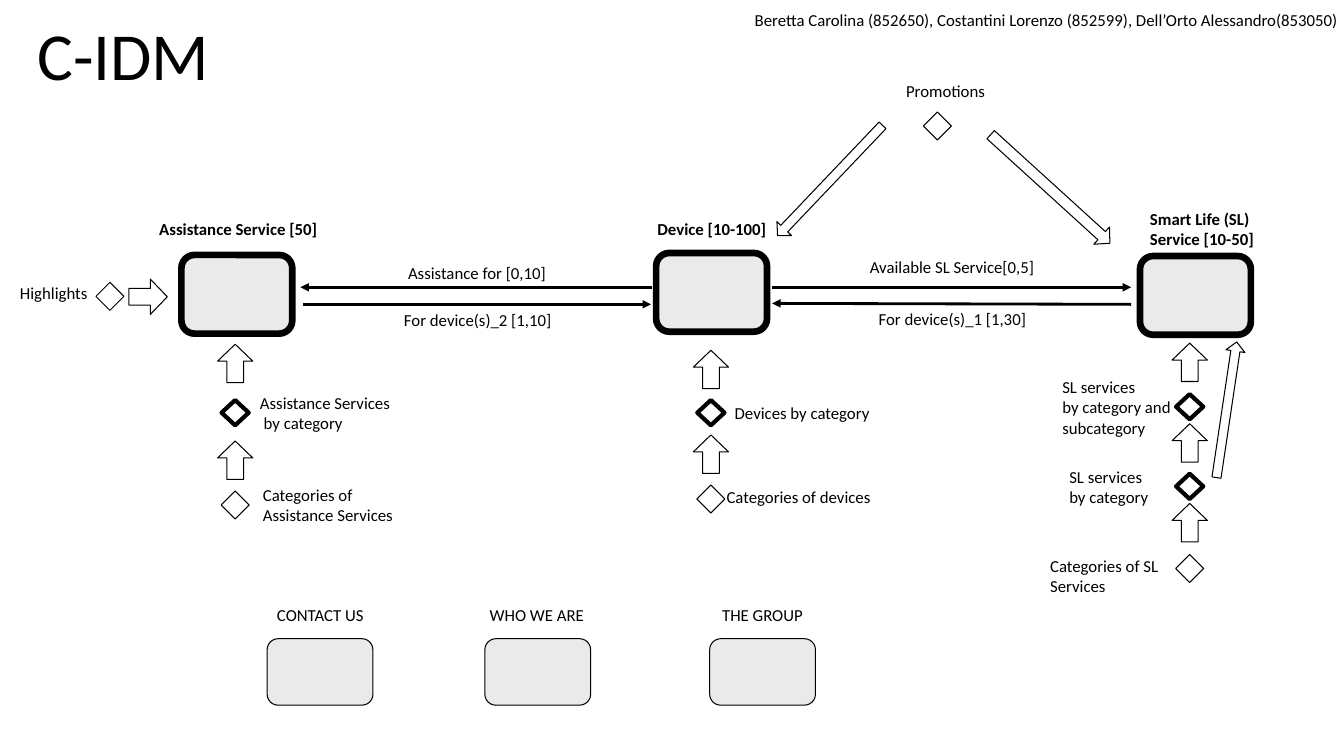
"""Build the C-IDM diagram slide."""
import dataclasses

import lxml.etree
import pptx
import pptx.dml.color
import pptx.enum.shapes
import pptx.enum.text
import pptx.oxml.ns
import pptx.util

Pt = pptx.util.Pt
KIND = pptx.enum.shapes.MSO_SHAPE


@dataclasses.dataclass(frozen=True)
class Theme:
    """Hold colours, type sizes and line widths."""
    font: str = "Calibri"
    ink: str = "000000"
    grey: str = "EAEAEA"
    white: str = "FFFFFF"
    body: float = 12
    title: float = 48
    thin: float = 0.75
    link: float = 2
    bold: float = 3
    heavy: float = 4.75


THEME = Theme()


def color(code):
    """Turn a hex code into a colour."""
    return pptx.dml.color.RGBColor.from_string(code)


def draw(slide, kind, mid, size, line, fill=None):
    """Draw a preset shape around its middle point."""
    (x, y), (wide, high) = mid, size
    shape = slide.shapes.add_shape(
        kind, Pt(x - wide / 2), Pt(y - high / 2), Pt(wide), Pt(high))
    shape.shadow.inherit = False
    if fill:
        shape.fill.solid()
        shape.fill.fore_color.rgb = color(fill)
    else:
        shape.fill.background()
    shape.line.color.rgb = color(THEME.ink)
    shape.line.width = Pt(line)
    return shape


def topic(slide, mid):
    """Draw a heavy main box."""
    draw(slide, KIND.ROUNDED_RECTANGLE, mid, (79.2, 56.2), THEME.heavy, THEME.grey)


def page(slide, mid):
    """Draw a thin page box."""
    draw(slide, KIND.ROUNDED_RECTANGLE, mid, (75.6, 47.5), THEME.thin, THEME.grey)


def gem(slide, mid, bold=False):
    """Draw a diamond, bold for a list by category."""
    size, line = ((19.4, 18), THEME.bold) if bold else ((20, 20), THEME.thin)
    draw(slide, KIND.DIAMOND, mid, size, line, THEME.white)


def arrow(slide, mid, turn=270, size=(27.4, 25.2)):
    """Draw an outlined block arrow."""
    shape = draw(slide, KIND.RIGHT_ARROW, mid, size, THEME.thin)
    shape.adjustments[0], shape.adjustments[1] = 0.475, 0.48
    shape.rotation = turn


def link(slide, start, end):
    """Draw a line with an arrowhead at its end."""
    line = slide.shapes.add_connector(
        pptx.enum.shapes.MSO_CONNECTOR.STRAIGHT, *map(Pt, start + end))
    line.line.color.rgb = color(THEME.ink)
    line.line.width = Pt(THEME.link)
    name = pptx.oxml.ns.qn
    lxml.etree.SubElement(line.line._get_or_add_ln(), name("a:tailEnd"), type="triangle")
    lxml.etree.SubElement(line._element.spPr, name("a:effectLst"))


def label(slide, text, left, top, wide, bold=False, size=THEME.body, align=None):
    """Write text in a box that fits its lines."""
    high = 7.2 + size * 1.22 * (text.count("\n") + 1)
    box = slide.shapes.add_textbox(Pt(left), Pt(top), Pt(wide), Pt(high))
    frame = box.text_frame
    frame.word_wrap = True
    frame.auto_size = pptx.enum.text.MSO_AUTO_SIZE.SHAPE_TO_FIT_TEXT
    frame.text = text
    for para in frame.paragraphs:
        para.alignment = align
        for run in para.runs:
            run.font.name = THEME.font
            run.font.size = Pt(size)
            run.font.bold = bold
            run.font.color.rgb = color(THEME.ink)


def main():
    """Build and save the slide."""
    deck = pptx.Presentation()
    deck.slide_width, deck.slide_height = Pt(960), Pt(540)
    slide = deck.slides.add_slide(deck.slide_layouts[6])

    label(slide, "C-IDM", 15.8, 5.8, 144.7, size=THEME.title,
          align=pptx.enum.text.PP_ALIGN.CENTER)
    label(slide, "Beretta Carolina (852650), Costantini Lorenzo (852599), "
          "Dell’Orto Alessandro(853050)", 532, 3.6, 433)

    for mid in ((169.2, 210.2), (508.3, 208.8), (853.9, 211)):
        topic(slide, mid)
    for text, left, top, wide in (
            ("Assistance Service [50]", 106.6, 152.6, 131),
            ("Device [10-100]", 462.5, 152.6, 96),
            ("Smart Life (SL)\nService [10-50]", 814.3, 145.4, 90)):
        label(slide, text, left, top, wide, bold=True)

    for start, end in (
            ((466, 205.2), (214.6, 205.2)), ((216.7, 217.4), (465, 217.4)),
            ((551.5, 205.2), (808, 205.2)), ((808, 217.4), (551.5, 216.7))):
        link(slide, start, end)

    for x, lifts, bolds, base in (
            (168, (259.6, 328.7), (294.8,), 360.7),
            (507.8, (263.9, 324.4), (294.8,), 356.4),
            (849.8, (258.8, 316.4, 373.3), (290.5, 347.4), 406.1)):
        for y in lifts:
            arrow(slide, (x, y))
        for y in bolds:
            gem(slide, (x, y), True)
        gem(slide, (x, base))

    gem(slide, (78.5, 211.7))
    arrow(slide, (105.8, 212), 0)
    gem(slide, (669.6, 90))
    arrow(slide, (592.9, 128.9), 133.6, (108.7, 14.4))
    arrow(slide, (750.2, 135), 42.3, (115.2, 16.6))
    arrow(slide, (876.2, 292.7), 278.5, (97.9, 13.7))

    for text, left, top, wide in (
            ("Assistance for [0,10]", 284.4, 184.3, 115),
            ("For device(s)_2 [1,10]", 281.5, 217.4, 122),
            ("Available SL Service[0,5]", 614.2, 180, 134),
            ("For device(s)_1 [1,30]", 620.6, 216.7, 122),
            ("Highlights", 7.2, 198.7, 64),
            ("Promotions", 640.1, 54, 73),
            ("Assistance Services\n by category", 178.6, 277.2, 109),
            ("Categories of\nAssistance Services", 180.7, 342.7, 124),
            ("Devices by category", 517.7, 284.4, 112),
            ("Categories of devices", 511.9, 344.2, 119),
            ("SL services\nby category and\nsubcategory", 751.7, 265.7, 96),
            ("SL services\nby category", 756.7, 329.8, 75),
            ("Categories of SL\nServices", 743, 393.1, 123)):
        label(slide, text, left, top, wide)

    for text, x, left, wide in (
            ("CONTACT US", 228.6, 190.8, 78),
            ("WHO WE ARE", 384.1, 342.7, 84),
            ("THE GROUP", 544.7, 508.7, 76)):
        page(slide, (x, 480))
        label(slide, text, left, 428.4, wide)

    deck.save("out.pptx")


main()
